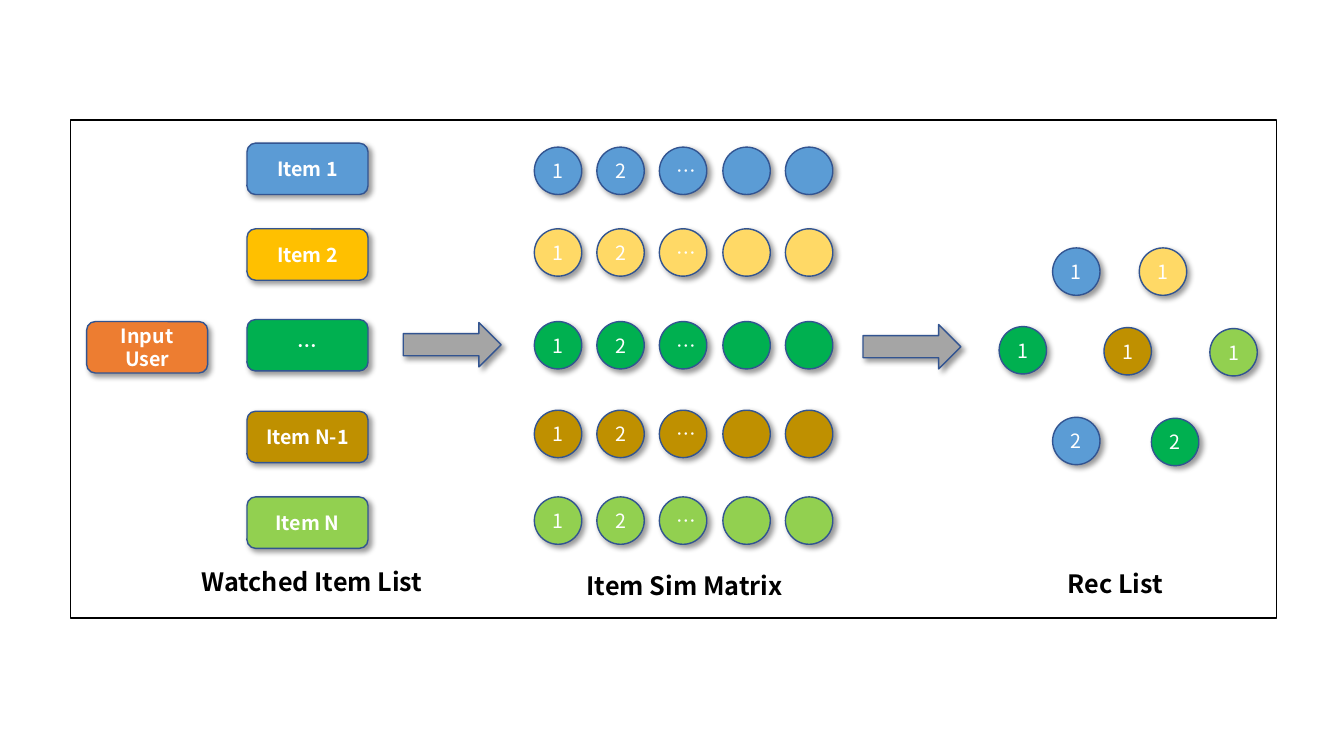
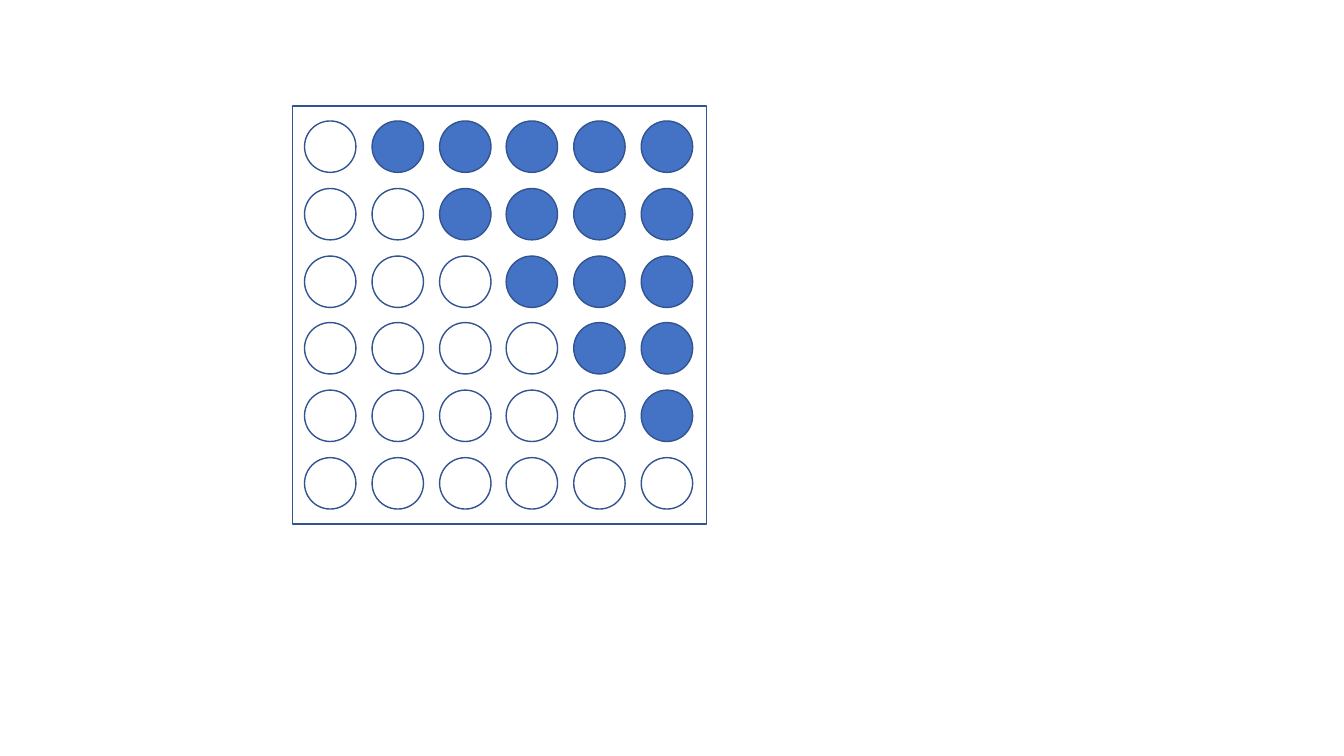
"""Draw the item-based recommendation flow and the upper triangle of its similarity matrix."""
import dataclasses

import lxml.etree
import pptx
import pptx.dml.color
import pptx.enum.shapes
import pptx.enum.text
import pptx.oxml.ns
import pptx.util

EMU_PER_PX = 9144
KIND = pptx.enum.shapes.MSO_SHAPE


@dataclasses.dataclass(frozen=True)
class Theme:
    """Colours, font and type sizes shared by the slides."""
    font: str = "Noto Sans CJK SC"
    shape_size: int = 14
    label_size: int = 18
    line_width: int = 1
    white: str = "FFFFFF"
    black: str = "000000"
    outline: str = "325491"
    user: str = "ED7D31"
    arrow: str = "A5A5A5"
    matrix: str = "4472C4"
    blue_box: str = "5B9BD5"
    blue: str = "5B9CD5"
    amber_box: str = "FFC000"
    amber: str = "FFD966"
    green: str = "00B050"
    brown: str = "BF9000"
    lime: str = "92D050"


THEME = Theme()


def px(*lengths):
    """Turn px lengths into EMU."""
    return [pptx.util.Emu(length * EMU_PER_PX) for length in lengths]


def rgb(code):
    """Return the colour for a hex code."""
    return pptx.dml.color.RGBColor.from_string(code)


def add_xml(parent, tag, **attributes):
    """Append a drawing element to its parent."""
    return lxml.etree.SubElement(parent, pptx.oxml.ns.qn(tag), **attributes)


def add_shadow(shape):
    """Give a shape the soft shadow towards its lower right."""
    effects = shape._element.spPr.find(pptx.oxml.ns.qn("a:effectLst"))
    shadow = add_xml(effects, "a:outerShdw", blurRad="50800", dist="38100",
                     dir="2700000", algn="tl", rotWithShape="0")
    color = add_xml(shadow, "a:srgbClr", val=THEME.black)
    add_xml(color, "a:alpha", val="40000")


def write(shape, text, size, color, bold):
    """Put one formatted paragraph into a shape."""
    shape.text_frame.word_wrap = True
    para = shape.text_frame.paragraphs[0]
    para.text = text
    para.font.size = pptx.util.Pt(size)
    para.font.bold = bold
    para.font.color.rgb = rgb(color)
    para.font.name = THEME.font
    defaults = para._p.pPr.find(pptx.oxml.ns.qn("a:defRPr"))
    add_xml(defaults, "a:ea", typeface=THEME.font)
    return para


def add_figure(canvas, kind, bounds, fill, line=THEME.outline, shadow=False):
    """Add a filled and outlined preset shape."""
    shape = canvas.add_shape(kind, *px(*bounds))
    shape.fill.solid()
    shape.fill.fore_color.rgb = rgb(fill)
    shape.line.color.rgb = rgb(line)
    shape.line.width = pptx.util.Pt(THEME.line_width)
    shape.shadow.inherit = False
    if shadow:
        add_shadow(shape)
    return shape


def add_caption(shape, text, bold):
    """Centre white text in a shape."""
    para = write(shape, text, THEME.shape_size, THEME.white, bold)
    para.alignment = pptx.enum.text.PP_ALIGN.CENTER
    shape.text_frame.vertical_anchor = pptx.enum.text.MSO_ANCHOR.MIDDLE


def add_box(canvas, left, top, text, fill):
    """Add a rounded box with a bold caption."""
    box = add_figure(canvas, KIND.ROUNDED_RECTANGLE, (left, top, 120, 51), fill, shadow=True)
    add_caption(box, text, True)


def add_ball(canvas, left, top, text, fill):
    """Add a shadowed circle, with a caption if there is one."""
    ball = add_figure(canvas, KIND.OVAL, (left, top, 47, 47), fill, shadow=True)
    if text:
        add_caption(ball, text, False)


def add_arrow(canvas, left, top):
    """Add a block arrow between two stages."""
    add_figure(canvas, KIND.RIGHT_ARROW, (left, top, 97, 44), THEME.arrow, shadow=True)


def add_label(canvas, left, top, width, text):
    """Add the bold name of a stage."""
    label = canvas.add_textbox(*px(left, top, width, 40))
    write(label, text, THEME.label_size, THEME.black, True)
    label.text_frame.auto_size = pptx.enum.text.MSO_AUTO_SIZE.SHAPE_TO_FIT_TEXT


def add_canvas(deck):
    """Add a blank slide and return the shapes of its one group."""
    page = deck.slides.add_slide(deck.slide_layouts[6])
    return page.shapes.add_group_shape().shapes


def build_flow(deck):
    """Build the slide from input user to recommended items."""
    canvas = add_canvas(deck)
    add_figure(canvas, KIND.RECTANGLE, (70, 119, 1196, 494), THEME.white, THEME.black)
    items = (
        ("Item 1", 142, THEME.blue_box, 146, THEME.blue),
        ("Item 2", 227, THEME.amber_box, 227, THEME.amber),
        ("…", 317, THEME.green, 319, THEME.green),
        ("Item N-1", 408, THEME.brown, 407, THEME.brown),
        ("Item N", 493, THEME.lime, 493, THEME.lime),
    )
    for name, box_top, box_fill, ball_top, ball_fill in items:
        add_box(canvas, 245, box_top, name, box_fill)
        for column, rank in enumerate(("1", "2", "…", "", "")):
            add_ball(canvas, 530 + round(column * 249 / 4), ball_top, rank, ball_fill)
    add_box(canvas, 86, 319, "Input User", THEME.user)
    add_arrow(canvas, 400, 320)
    add_arrow(canvas, 856, 322)
    recommended = (
        (1044, 246, "1", THEME.blue),
        (1130, 246, "1", THEME.amber),
        (991, 324, "1", THEME.green),
        (1095, 325, "1", THEME.brown),
        (1200, 326, "1", THEME.lime),
        (1044, 414, "2", THEME.blue),
        (1142, 415, "2", THEME.green),
    )
    for ball in recommended:
        add_ball(canvas, *ball)
    add_label(canvas, 190, 557, 326, "Watched Item List")
    add_label(canvas, 572, 561, 231, "Item Sim Matrix")
    add_label(canvas, 1049, 559, 193, "Rec List")


def build_matrix(deck):
    """Build the matrix slide with the upper triangle filled."""
    canvas = add_canvas(deck)
    add_figure(canvas, KIND.RECTANGLE, (290, 105, 411, 415), THEME.white)
    offsets = [round(step * 334 / 5) for step in range(6)]
    for row, down in enumerate(offsets):
        for column, across in enumerate(offsets):
            fill = THEME.matrix if column > row else THEME.white
            add_figure(canvas, KIND.OVAL, (302 + across, 120 + down, 51, 51), fill)


def main():
    """Build and save the deck."""
    deck = pptx.Presentation()
    deck.slide_width, deck.slide_height = px(1333, 750)
    build_flow(deck)
    build_matrix(deck)
    deck.save("out.pptx")


if __name__ == "__main__":
    main()
